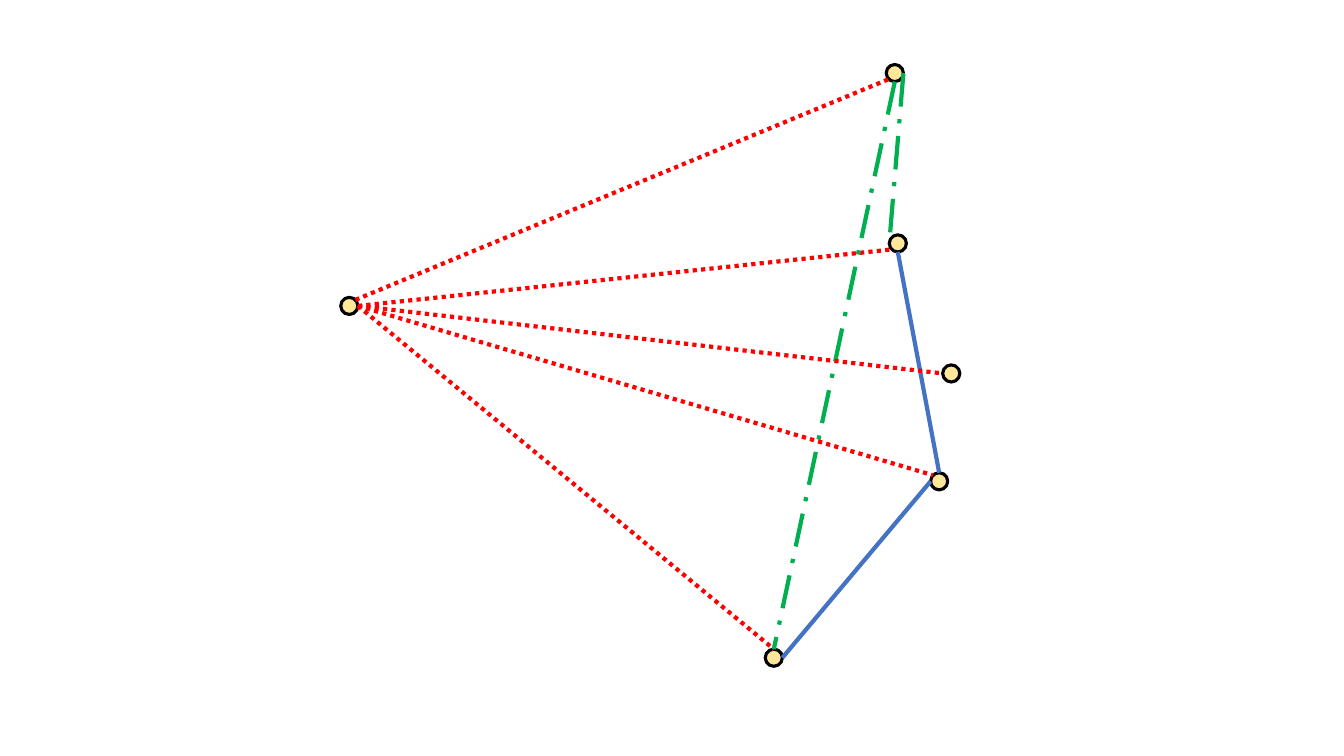
from math import cos, radians, sin

from lxml.etree import SubElement
from pptx import Presentation
from pptx.dml.color import RGBColor
from pptx.enum.dml import MSO_LINE as Dash
from pptx.enum.shapes import MSO_CONNECTOR as Connector, MSO_SHAPE as Shape
from pptx.oxml.ns import qn
from pptx.util import Inches, Pt

NODE_SIZE = 0.17
NODES = {
    "hub": (3.38, 2.95),
    "bottom": (7.59, 6.44),
    "top": (8.79, 0.64),
    "lower": (9.23, 4.69),
    "upper": (8.82, 2.33),
    "outer": (9.35, 3.62),
}
ANGLES = {
    "E": 0, "SE": 45, "S": 90, "SW": 135,
    "W": 180, "NW": 225, "N": 270, "NE": 315,
}
RED = ("FF0000", Dash.ROUND_DOT)
GREEN = ("00B050", Dash.LONG_DASH_DOT)
BLUE = ("4472C4", None)
EDGES = [
    ("hub", "NE", "top", "SW", RED),
    ("hub", "E", "upper", "SW", RED),
    ("top", "E", "upper", "W", GREEN),
    ("hub", "E", "bottom", "N", RED),
    ("top", "S", "bottom", "N", GREEN),
    ("upper", "S", "lower", "N", BLUE),
    ("bottom", "E", "lower", "W", BLUE),
    ("hub", "E", "lower", "NW", RED),
    ("hub", "E", "outer", "W", RED),
]


def color(value):
    return RGBColor.from_string(value)


def rim_point(left, top, node, side):
    radius = NODE_SIZE / 2
    angle = radians(ANGLES[side])
    x, y = NODES[node]
    return (Inches(left + x + radius * (1 + cos(angle))),
            Inches(top + y + radius * (1 + sin(angle))))


def add_node(slide, x, y):
    shape = slide.shapes.add_shape(
        Shape.OVAL, Inches(x), Inches(y), Inches(NODE_SIZE), Inches(NODE_SIZE))
    shape.shadow.inherit = False
    shape.fill.solid()
    shape.fill.fore_color.rgb = color("FFE699")
    shape.line.color.rgb = color("000000")
    shape.line.width = Pt(2.25)


def add_edge(slide, start, end, style):
    line_color, dash = style
    connector = slide.shapes.add_connector(Connector.STRAIGHT, *start, *end)
    connector.line.color.rgb = color(line_color)
    connector.line.width = Pt(3)
    if dash:
        connector.line.dash_style = dash
    SubElement(connector._element.spPr, qn("a:effectLst"))


def add_graph(slide, left, top):
    for x, y in NODES.values():
        add_node(slide, left + x, top + y)
    for source, source_side, target, target_side, style in EDGES:
        add_edge(slide,
                 rim_point(left, top, source, source_side),
                 rim_point(left, top, target, target_side),
                 style)


def main():
    presentation = Presentation()
    presentation.slide_width = Inches(13.33)
    presentation.slide_height = Inches(7.5)
    slide = presentation.slides.add_slide(presentation.slide_layouts[6])
    add_graph(slide, 0, 0)
    presentation.save("out.pptx")


if __name__ == "__main__":
    main()
